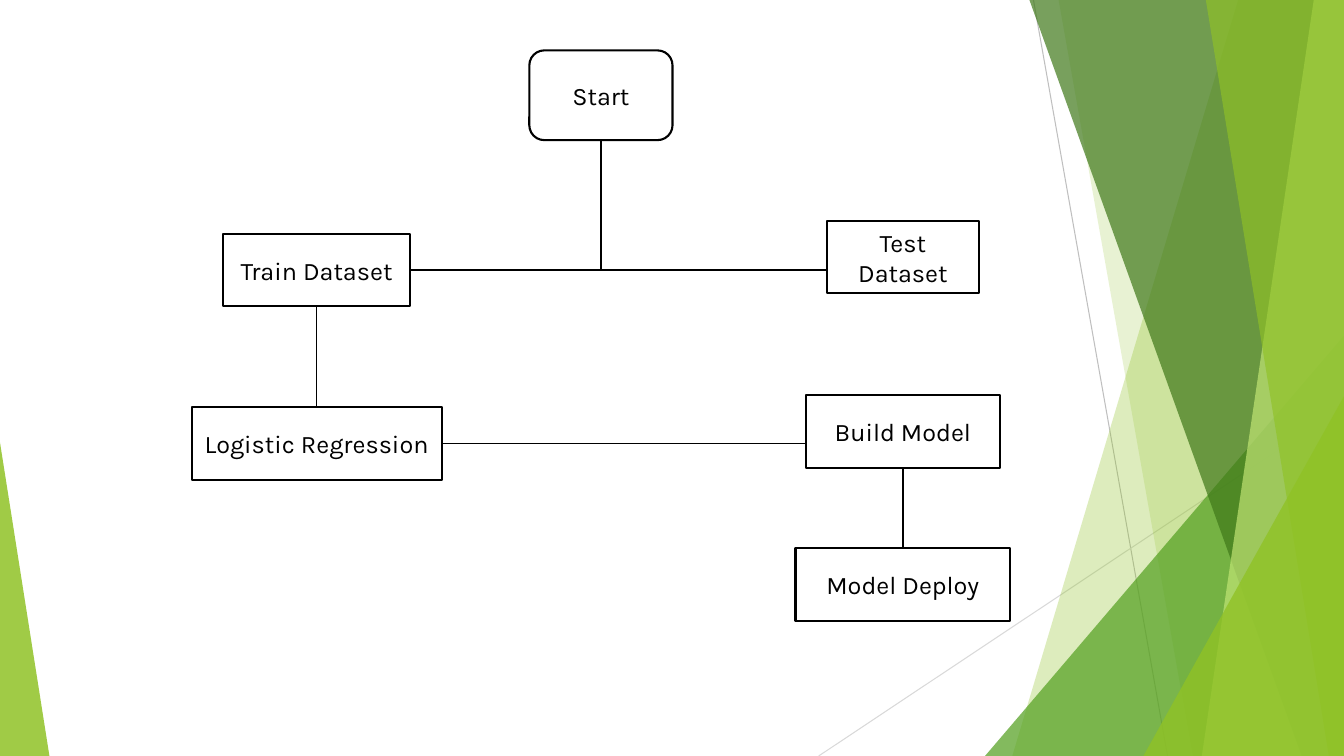
import pptx
import pptx.util
import pptx.dml.color
import pptx.enum.shapes
import pptx.enum.text
import pptx.oxml.ns
from lxml import etree

RGB = pptx.dml.color.RGBColor
SHAPE = pptx.enum.shapes.MSO_SHAPE
qn = pptx.oxml.ns.qn

BLACK = RGB(0x00, 0x00, 0x00)
WHITE = RGB(0xFF, 0xFF, 0xFF)
GREY = RGB(0xBF, 0xBF, 0xBF)
PALE_GREY = RGB(0xD9, 0xD9, 0xD9)
LIME = RGB(0x90, 0xC2, 0x26)
PALE_LIME = RGB(0xC0, 0xE4, 0x74)
GREEN = RGB(0x54, 0xA0, 0x21)
DARK_GREEN = RGB(0x3F, 0x78, 0x19)

# The slide is a grid of square cells, a tenth of an inch each
COLS, ROWS = 133.3, 75
BOX_ROWS = 7.2
TOP, LEFT, BOTTOM, RIGHT = range(4)


def cells(n):
    return pptx.util.Inches(n / 10)


def paint(sp, color, opacity):
    """Fill a decoration with a see-through colour and no outline."""
    sp.shadow.inherit = False
    sp.fill.solid()
    sp.fill.fore_color.rgb = color
    sp.line.fill.background()
    clr = sp._element.spPr.find(qn("a:solidFill"))[0]
    etree.SubElement(clr, qn("a:alpha")).set("val", str(opacity * 1000))


def add_slab(s, top_col, bottom_col, color, opacity):
    """Full-height band from a slanted left edge to the slide's right edge."""
    fb = s.shapes.build_freeform(cells(top_col), 0)
    fb.add_line_segments([(cells(COLS), 0), (cells(COLS), cells(ROWS)),
                          (cells(bottom_col), cells(ROWS))], close=True)
    paint(fb.convert_to_shape(), color, opacity)


def add_corner(s, col, row, width, apex, color, opacity):
    """Triangle standing on the slide's bottom edge; apex 0 left, 1 right."""
    sp = s.shapes.add_shape(SHAPE.ISOSCELES_TRIANGLE, cells(col), cells(row),
                            cells(width), cells(ROWS - row))
    sp.adjustments[0] = apex
    paint(sp, color, opacity)


def add_line(s, start, end, color=BLACK, weight=1):
    """Straight line; each end is a (col, row) or a (shape, side) to join."""
    (x1, y1), (x2, y2) = [(0, 0) if hasattr(p[0], "shape_id") else p
                          for p in (start, end)]
    line = s.shapes.add_connector(pptx.enum.shapes.MSO_CONNECTOR.STRAIGHT,
                                  cells(x1), cells(y1), cells(x2), cells(y2))
    for point, connect in ((start, line.begin_connect),
                           (end, line.end_connect)):
        if hasattr(point[0], "shape_id"):
            connect(*point)
    line.line.color.rgb = color
    line.line.width = pptx.util.Pt(weight)
    etree.SubElement(line._element.spPr, qn("a:effectLst"))


def add_step(s, text, center, row, width, height=BOX_ROWS,
             kind=SHAPE.RECTANGLE):
    """Outlined flowchart box centred on a column."""
    sp = s.shapes.add_shape(kind, cells(center - width / 2), cells(row),
                            cells(width), cells(height))
    sp.shadow.inherit = False
    sp.fill.solid()
    sp.fill.fore_color.rgb = WHITE
    sp.line.color.rgb = BLACK
    sp.line.width = pptx.util.Pt(1.5)
    tf = sp.text_frame
    tf.word_wrap = True
    tf.vertical_anchor = pptx.enum.text.MSO_ANCHOR.MIDDLE
    p = tf.paragraphs[0]
    p.text = text
    p.alignment = pptx.enum.text.PP_ALIGN.CENTER
    p.font.name = "Karla"
    p.font.size = pptx.util.Pt(18)
    p.font.color.rgb = BLACK
    return sp


def add_decoration(s):
    add_line(s, (102.5, 0), (115.8, ROWS), GREY, 0.75)
    add_line(s, (COLS, 40.3), (81.2, ROWS), PALE_GREY, 0.75)
    add_slab(s, 122.8, 100.4, LIME, 30)
    add_slab(s, 105, 118.3, LIME, 20)
    add_corner(s, 97.7, 33.3, 35.6, 1, GREEN, 72)
    add_slab(s, 102.1, 129.1, DARK_GREEN, 70)
    add_slab(s, 130.3, 119.2, PALE_LIME, 70)
    add_slab(s, 119.6, 131.8, LIME, 65)
    add_corner(s, 113.4, 39.3, 19.9, 1, LIME, 80)
    add_corner(s, 0, 43.9, 4.9, 0, LIME, 85)


def add_flowchart(s):
    left, middle, right = 31.4, 59.6, 89.55  # centre columns

    # Steps
    start = add_step(s, "Start", middle, 5, 14.2, 8.9,
                     SHAPE.ROUNDED_RECTANGLE)
    train = add_step(s, "Train Dataset", left, 23.2, 18.5)
    logistic = add_step(s, "Logistic Regression", left, 40.4, 24.8)
    build = add_step(s, "Build Model", right, 39.2, 19.3)
    add_step(s, "Test Dataset", right, 21.9, 15.1)
    deploy = add_step(s, "Model Deploy", right, 54.4, 21.3)

    # Links
    add_line(s, (start, BOTTOM), (middle, 26.8))
    add_line(s, (train, RIGHT), (82, 26.8))
    add_line(s, (train, BOTTOM), (logistic, TOP))
    add_line(s, (logistic, RIGHT), (79.9, 44))
    add_line(s, (build, BOTTOM), (deploy, TOP))


def main():
    prs = pptx.Presentation()
    prs.slide_width, prs.slide_height = cells(COLS), cells(ROWS)
    s = prs.slides.add_slide(prs.slide_layouts[6])
    add_decoration(s)
    add_flowchart(s)
    prs.save("out.pptx")


if __name__ == "__main__":
    main()
